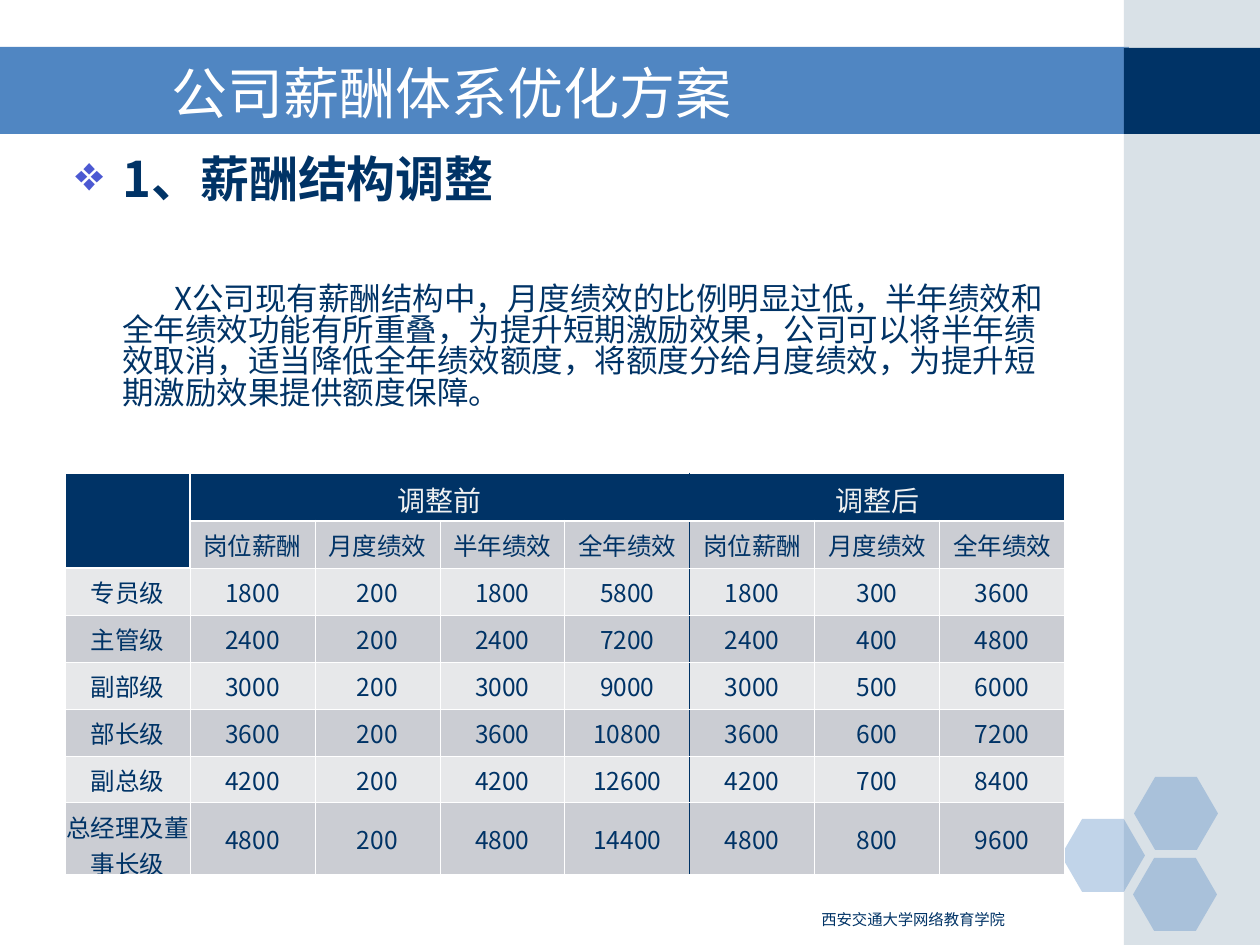
from lxml.etree import SubElement
from pptx import Presentation
from pptx.dml.color import RGBColor
from pptx.enum.shapes import MSO_SHAPE as Shape
from pptx.enum.text import MSO_ANCHOR as Anchor, PP_ALIGN as Align
from pptx.oxml.ns import qn
from pptx.util import Emu, Pt

NAVY = RGBColor(0x00, 0x33, 0x66)
BLUE = RGBColor(0x50, 0x86, 0xC2)
MIST = RGBColor(0xA0, 0xB5, 0xC4)
VIOLET = RGBColor(0x4C, 0x59, 0xD2)
WHITE = RGBColor(0xFF, 0xFF, 0xFF)
HEADER_TEXT = RGBColor(0xF2, 0xF2, 0xF2)
BANDS = [RGBColor(0xE7, 0xE8, 0xEA), RGBColor(0xCB, 0xCD, 0xD3)]
CJK = "Noto Sans CJK SC"
PX = 914400 / 126


def px(*lengths):
    return [Emu(round(length * PX)) for length in lengths]


def style(paragraph, size, color, name=CJK, bold=False):
    font = paragraph.font
    font.size, font.bold, font.name = Pt(size), bold, name
    font.color.rgb = color
    defaults = paragraph._p.pPr.find(qn("a:defRPr"))
    SubElement(defaults, qn("a:ea"), typeface=name)


presentation = Presentation()
presentation.slide_width, presentation.slide_height = px(1260, 945)
slide = presentation.slides.add_slide(presentation.slide_layouts[6])

# Background bands and hexagons: preset, box, colour, opacity in percent
backdrop = [
    (Shape.RECTANGLE, (0, 47, 1129, 87), BLUE, 100),
    (Shape.RECTANGLE, (1124, 0, 136, 945), MIST, 40),
    (Shape.RECTANGLE, (1124, 48, 136, 86), NAVY, 100),
    (Shape.HEXAGON, (1061, 819, 84, 73), BLUE, 35),
    (Shape.HEXAGON, (1134, 777, 84, 73), BLUE, 35),
    (Shape.HEXAGON, (1133, 858, 84, 73), BLUE, 35),
]
for preset, box, color, opacity in backdrop:
    shape = slide.shapes.add_shape(preset, *px(*box))
    shape.shadow.inherit = False
    shape.line.fill.background()
    shape.fill.solid()
    shape.fill.fore_color.rgb = color
    if preset == Shape.HEXAGON:
        shape.adjustments[0] = 0.29
    if opacity < 100:
        fill_color = shape._element.spPr.find(qn("a:solidFill"))[0]
        SubElement(fill_color, qn("a:alpha"), val=str(opacity * 1000))

# Heading and body text
body = slide.shapes.add_textbox(*px(63, 149, 1004, 759)).text_frame
body.word_wrap = True
heading = body.paragraphs[0]
heading.text = "1、薪酬结构调整"
heading.line_spacing = 0.9
explanation = body.add_paragraph()
explanation.text = (
    "X公司现有薪酬结构中，月度绩效的比例明显过低，半年绩效和全年绩效功能有所重叠，"
    "为提升短期激励效果，公司可以将半年绩效取消，适当降低全年绩效额度，"
    "将额度分给月度绩效，为提升短期激励效果提供额度保障。"
)
explanation.line_spacing = 0.83
explanation.space_before = Pt(44)
for paragraph, indent in ((heading, -47), (explanation, 52)):
    properties = paragraph._p.get_or_add_pPr()
    margin, first_line = px(47, indent)
    properties.set("marL", str(margin))
    properties.set("indent", str(first_line))
bullet_color = SubElement(heading._p.pPr, qn("a:buClr"))
SubElement(bullet_color, qn("a:srgbClr"), val=str(VIOLET))
SubElement(heading._p.pPr, qn("a:buChar"), char="❖")
style(heading, 28, NAVY, bold=True)
style(explanation, 18, NAVY)

# Footer
footer = slide.shapes.add_textbox(*px(809, 907, 359, 33)).text_frame
footer.word_wrap = True
footer.paragraphs[0].text = "西安交通大学网络教育学院"
footer.paragraphs[0].line_spacing = 0.8
style(footer.paragraphs[0], 8.8, NAVY, "Arial")

# Title
title = slide.shapes.add_textbox(*px(159, 53, 924, 78)).text_frame
title.word_wrap = True
title.vertical_anchor = Anchor.MIDDLE
title.paragraphs[0].text = "公司薪酬体系优化方案"
style(title.paragraphs[0], 32, WHITE)

# Pay table
rows = [
    ["", "调整前", "", "", "", "调整后", "", ""],
    ["", "岗位薪酬", "月度绩效", "半年绩效", "全年绩效", "岗位薪酬", "月度绩效", "全年绩效"],
    ["专员级", 1800, 200, 1800, 5800, 1800, 300, 3600],
    ["主管级", 2400, 200, 2400, 7200, 2400, 400, 4800],
    ["副部级", 3000, 200, 3000, 9000, 3000, 500, 6000],
    ["部长级", 3600, 200, 3600, 10800, 3600, 600, 7200],
    ["副总级", 4200, 200, 4200, 12600, 4200, 700, 8400],
    ["总经理及董事长级", 4800, 200, 4800, 14400, 4800, 800, 9600],
]
FIRST_AFTER = 5
frame = slide.shapes.add_table(len(rows), len(rows[0]), *px(65, 473, 1000, 390))
table = frame.table
table.first_row = table.horz_banding = False
# The built-in style without fills or grid lines
table._tbl.tblPr.find(qn("a:tableStyleId")).text = "{2D5ABB26-0587-4C30-8999-92F81FD0307C}"
for column in table.columns:
    column.width = px(125)[0]
for row, height in zip(table.rows, [48] + [47] * 6 + [60]):
    row.height = px(height)[0]

for r, values in enumerate(rows):
    for c, value in enumerate(values):
        cell = table.cell(r, c)
        dark = r == 0 or (r == 1 and c == 0)
        cell.margin_left = cell.margin_right = px(1)[0]
        cell.vertical_anchor = Anchor.MIDDLE

        # Borders: thick around the header, navy between before and after
        borders = {side: (0.45, WHITE) for side in "LRTB"}
        if r == 1 or (r == 2 and c == 0):
            borders["T"] = (1.47, WHITE)
        if dark:
            borders["B"] = (1.47, WHITE)
        if r < 2 and c == 0:
            borders["R"] = (1.47, WHITE)
        if r < 2 and c == 1:
            borders["L"] = (1.47, WHITE)
        for side, neighbour in (("R", FIRST_AFTER - 1), ("L", FIRST_AFTER)):
            if c == neighbour:
                borders[side] = (0.45, NAVY)
        for side, (width, color) in borders.items():
            line = SubElement(cell._tc.get_or_add_tcPr(), qn("a:ln" + side), w=str(Pt(width)))
            line_fill = SubElement(line, qn("a:solidFill"))
            SubElement(line_fill, qn("a:srgbClr"), val=str(color))

        cell.fill.solid()
        cell.fill.fore_color.rgb = NAVY if dark else BANDS[r % 2]
        paragraph = cell.text_frame.paragraphs[0]
        paragraph.text = str(value)
        paragraph.alignment = Align.CENTER
        style(paragraph, 16 if r == 0 else 14, HEADER_TEXT if dark else NAVY)

for start, end in (((0, 0), (1, 0)), ((0, 1), (0, 4)), ((0, 5), (0, 7))):
    table.cell(*start).merge(table.cell(*end))

presentation.save("out.pptx")
